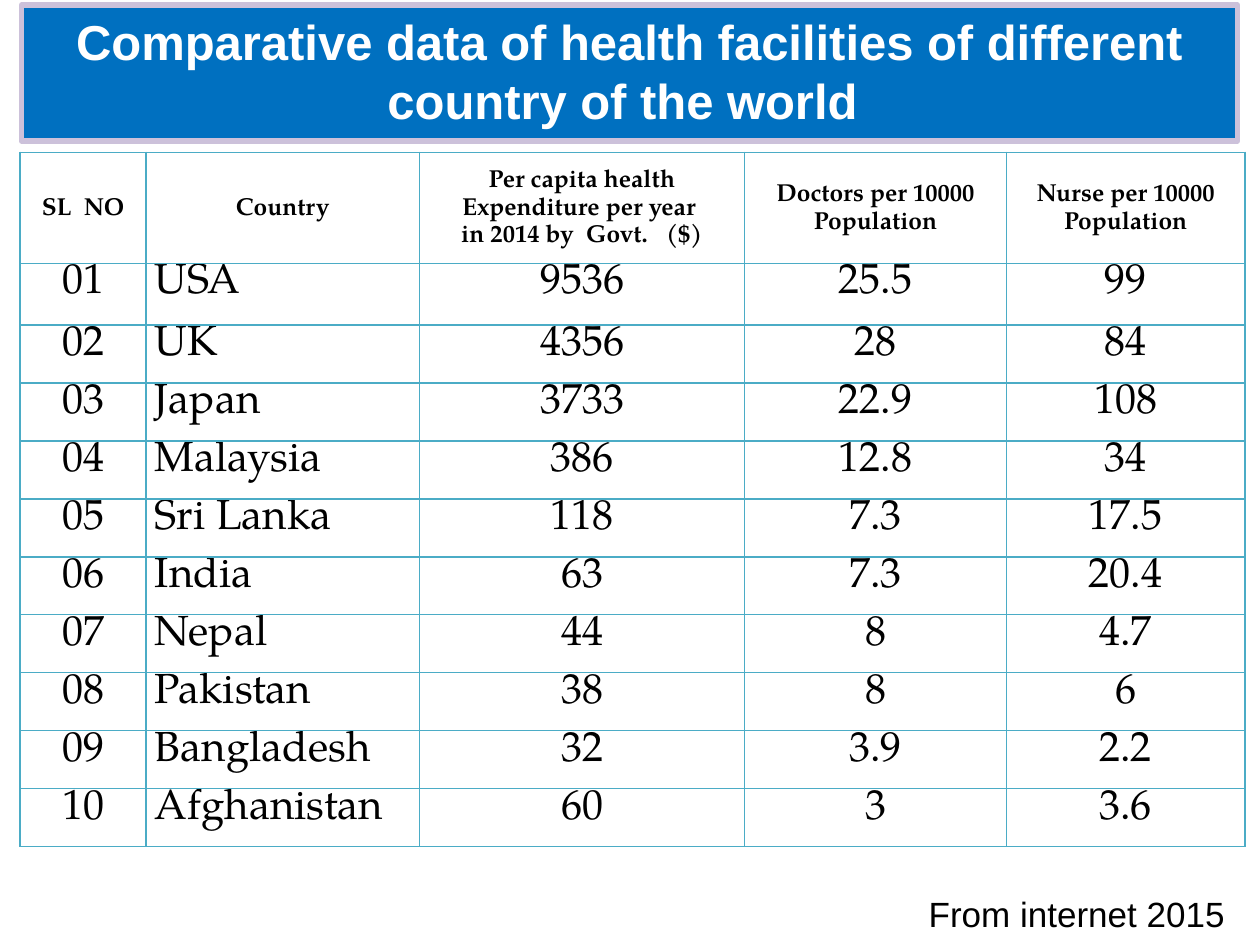
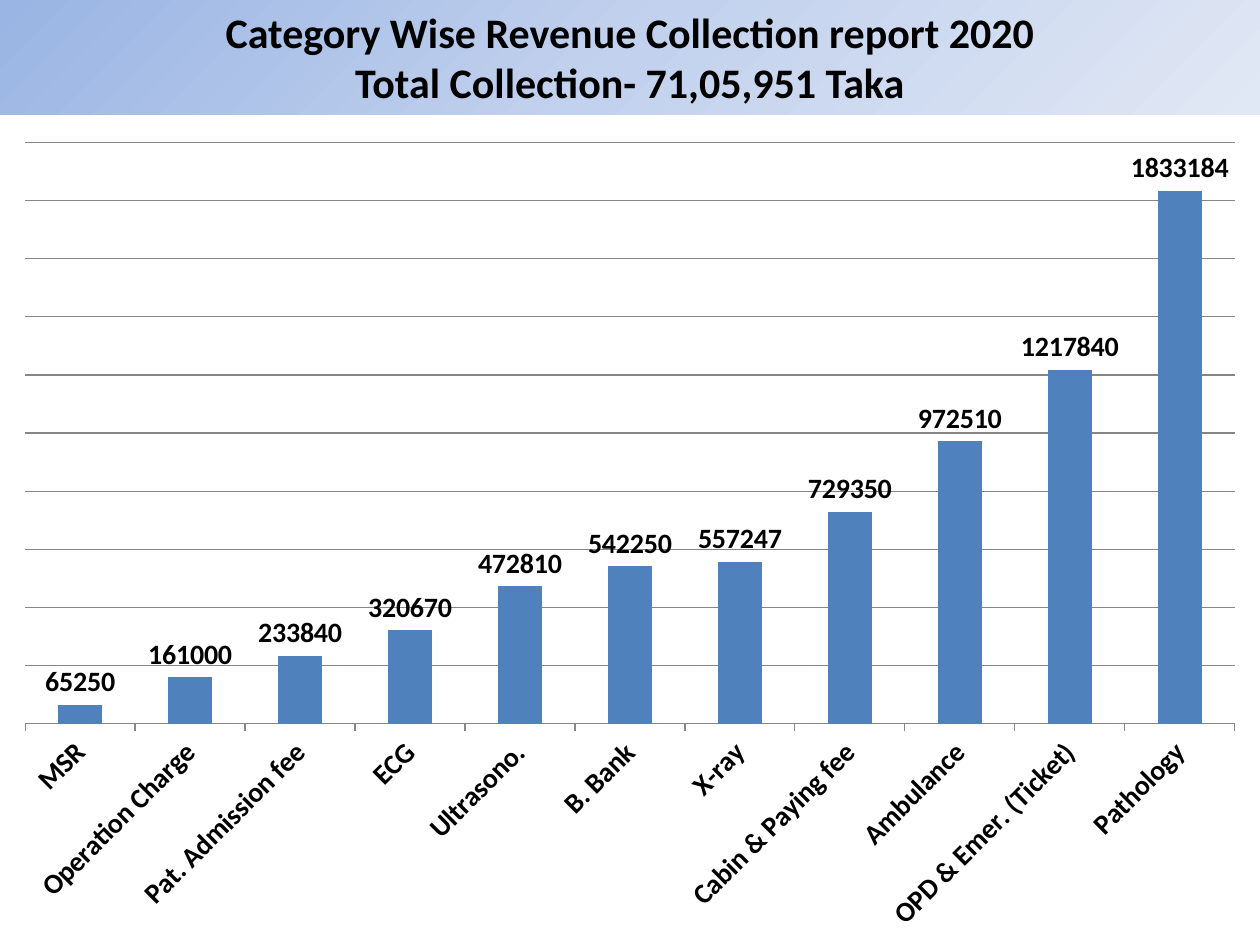
from lxml import etree
from pptx import Presentation
from pptx.chart.data import CategoryChartData
from pptx.dml.color import RGBColor
from pptx.enum import chart as ch, text
from pptx.oxml import parse_xml
from pptx.oxml.ns import nsdecls, qn
from pptx.util import Inches, Pt

HEADS = [
    "SL  NO",
    "Country",
    "Per capita health\nExpenditure per year \nin 2014 by  Govt.   ($)",
    "Doctors per 10000\nPopulation",
    "Nurse per 10000\nPopulation",
]
ROWS = [
    ("USA", "9536", "25.5", "99"),
    ("UK", "4356", "28", "84"),
    ("Japan", "3733", "22.9", "108"),
    ("Malaysia", "386", "12.8", "34"),
    ("Sri Lanka", "118", "7.3", "17.5"),
    ("India", "63", "7.3", "20.4"),
    ("Nepal", "44", "8", "4.7"),
    ("Pakistan", "38", "8", "6"),
    ("Bangladesh", "32", "3.9", "2.2"),
    ("Afghanistan", "60", "3", "3.6"),
]
WIDTHS = [1, 2.17, 2.58, 2.08, 1.89]
HEIGHTS = [0.88, 0.49] + [0.46] * (len(ROWS) - 1)
REVENUE = {
    "MSR": 65250,
    "Operation Charge": 161000,
    "Pat. Admission fee": 233840,
    "ECG": 320670,
    "Ultrasono.": 472810,
    "B. Bank": 542250,
    "X-ray": 557247,
    "Cabin & Paying fee": 729350,
    "Ambulance": 972510,
    "OPD & Emer. (Ticket)": 1217840,
    "Pathology": 1833184,
}
FADE = [(0, "9AB5E4"), (50, "C2D1ED"), (100, "E1E8F5")]

BLACK = RGBColor(0, 0, 0)
WHITE = RGBColor(255, 255, 255)
BLUE = RGBColor(0x00, 0x70, 0xC0)
LILAC = RGBColor(0xCC, 0xC1, 0xDA)
TEAL = RGBColor(0x4B, 0xAC, 0xC6)
STEEL = RGBColor(0x4F, 0x81, 0xBD)
GREY = RGBColor(0x86, 0x86, 0x86)
SERIF, SANS, LABEL = "TeX Gyre Pagella", "Arial", "Calibri"
ALIGN = text.PP_ALIGN


def style(font, name, size, color=BLACK, bold=False):
    font.name, font.size, font.bold = name, Pt(size), bold
    font.color.rgb = color


def write(frame, words, align, *look):
    frame.text = words
    for para in frame.paragraphs:
        para.alignment = align
        for run in para.runs:
            style(run.font, *look)


def add_slide(deck, words, box, *look):
    """Add a title-only slide and return it with its title band."""
    slide = deck.slides.add_slide(deck.slide_layouts[5])
    band = slide.shapes.title
    band.left, band.top, band.width, band.height = map(Inches, box)
    frame = band.text_frame
    frame.auto_size = text.MSO_AUTO_SIZE.NONE
    frame.vertical_anchor = text.MSO_ANCHOR.TOP
    write(frame, words, ALIGN.CENTER, *look)
    return slide, band


def fade(shape):
    """Fill a shape with the three-stop diagonal gradient."""
    stops = "".join(
        f'<a:gs pos="{pos * 1000}"><a:srgbClr val="{color}"/></a:gs>'
        for pos, color in FADE)
    shape.fill.background()
    old = shape._element.spPr.find(qn("a:noFill"))
    old.getparent().replace(old, parse_xml(
        f'<a:gradFill {nsdecls("a")}><a:gsLst>{stops}</a:gsLst>'
        '<a:lin ang="2700000" scaled="0"/></a:gradFill>'))


def frame_cell(cell):
    props = cell._tc.get_or_add_tcPr()
    for side in "LRTB":
        props.append(parse_xml(
            f'<a:ln{side} {nsdecls("a")} w="12700"><a:solidFill>'
            f'<a:srgbClr val="{TEAL}"/></a:solidFill></a:ln{side}>'))
    cell.fill.solid()
    cell.fill.fore_color.rgb = WHITE
    cell.margin_left = cell.margin_right = Inches(0.07)
    cell.margin_top = cell.margin_bottom = 0


def add_grid(slide):
    lines = [HEADS] + [(f"{n:02}", *row) for n, row in enumerate(ROWS, 1)]
    box = (0.16, 1.21, sum(WIDTHS), sum(HEIGHTS))
    grid = slide.shapes.add_table(
        len(lines), len(HEADS), *map(Inches, box)).table
    grid.first_row = grid.horz_banding = False
    for col, width in zip(grid.columns, WIDTHS):
        col.width = Inches(width)
    for r, line in enumerate(lines):
        grid.rows[r].height = Inches(HEIGHTS[r])
        for c, words in enumerate(line):
            cell = grid.cell(r, c)
            frame_cell(cell)
            if r == 0:
                write(cell.text_frame, words, ALIGN.CENTER, SERIF, 14, BLACK, True)
                cell.vertical_anchor = text.MSO_ANCHOR.MIDDLE
                for para in cell.text_frame.paragraphs:
                    para.line_spacing = 1.15
            else:
                align = ALIGN.JUSTIFY if c == 1 else ALIGN.CENTER
                write(cell.text_frame, words, align, SERIF, 24)


def add_bars(slide):
    data = CategoryChartData()
    data.categories = list(REVENUE)
    data.add_series("Series 1", list(REVENUE.values()))
    chart = slide.shapes.add_chart(
        ch.XL_CHART_TYPE.COLUMN_CLUSTERED,
        *map(Inches, (0, 1, 10, 6.5)), data).chart
    style(chart.font, LABEL, 10)
    chart.has_legend = chart.has_title = False

    plot = chart.plots[0]
    plot.vary_by_categories = False
    plot.gap_width = 150
    fill = plot.series[0].format.fill
    fill.solid()
    fill.fore_color.rgb = STEEL
    plot.has_data_labels = True
    tags = plot.data_labels
    tags.show_value = True
    tags.position = ch.XL_LABEL_POSITION.OUTSIDE_END
    style(tags.font, LABEL, 16, BLACK, True)

    cat, val = chart.category_axis, chart.value_axis
    style(cat.tick_labels.font, LABEL, 16, BLACK, True)
    cat._element.txPr.find(qn("a:bodyPr")).set("rot", "-2700000")
    cat.format.line.color.rgb = GREY
    val.visible = False
    val.minimum_scale, val.maximum_scale, val.major_unit = 0, 2000000, 200000
    val.has_major_gridlines = True
    val.major_gridlines.format.line.color.rgb = GREY

    area = chart._chartSpace.chart.plotArea
    for old in area.findall(qn("c:layout")):
        area.remove(old)
    layout = etree.Element(qn("c:layout"))
    manual = etree.SubElement(layout, qn("c:manualLayout"))
    for tag, value in (
            ("layoutTarget", "inner"), ("xMode", "edge"), ("yMode", "edge"),
            ("x", 0.02), ("y", 0.02), ("w", 0.96), ("h", 0.71)):
        etree.SubElement(manual, qn(f"c:{tag}")).set("val", str(value))
    area.insert(0, layout)


def main():
    deck = Presentation()
    deck.slide_width, deck.slide_height = Inches(10), Inches(7.5)

    slide, band = add_slide(
        deck,
        "Comparative data of health facilities of different country of the world ",
        (0.17, 0.04, 9.65, 1.08), SANS, 28, WHITE, True)
    band.fill.solid()
    band.fill.fore_color.rgb = BLUE
    band.line.color.rgb = LILAC
    band.line.width = Pt(3)
    add_grid(slide)
    note = slide.shapes.add_textbox(*map(Inches, (7.17, 7.03, 2.65, 0.44)))
    note.text_frame.word_wrap = True
    note.text_frame.vertical_anchor = text.MSO_ANCHOR.MIDDLE
    write(note.text_frame, "From internet 2015", ALIGN.RIGHT, SANS, 20)

    slide, band = add_slide(
        deck,
        "Category Wise Revenue Collection report 2020\n"
        "Total Collection- 71,05,951 Taka",
        (0, 0, 10, 0.91), LABEL, 24, BLACK, True)
    fade(band)
    add_bars(slide)

    deck.save("out.pptx")


if __name__ == "__main__":
    main()
